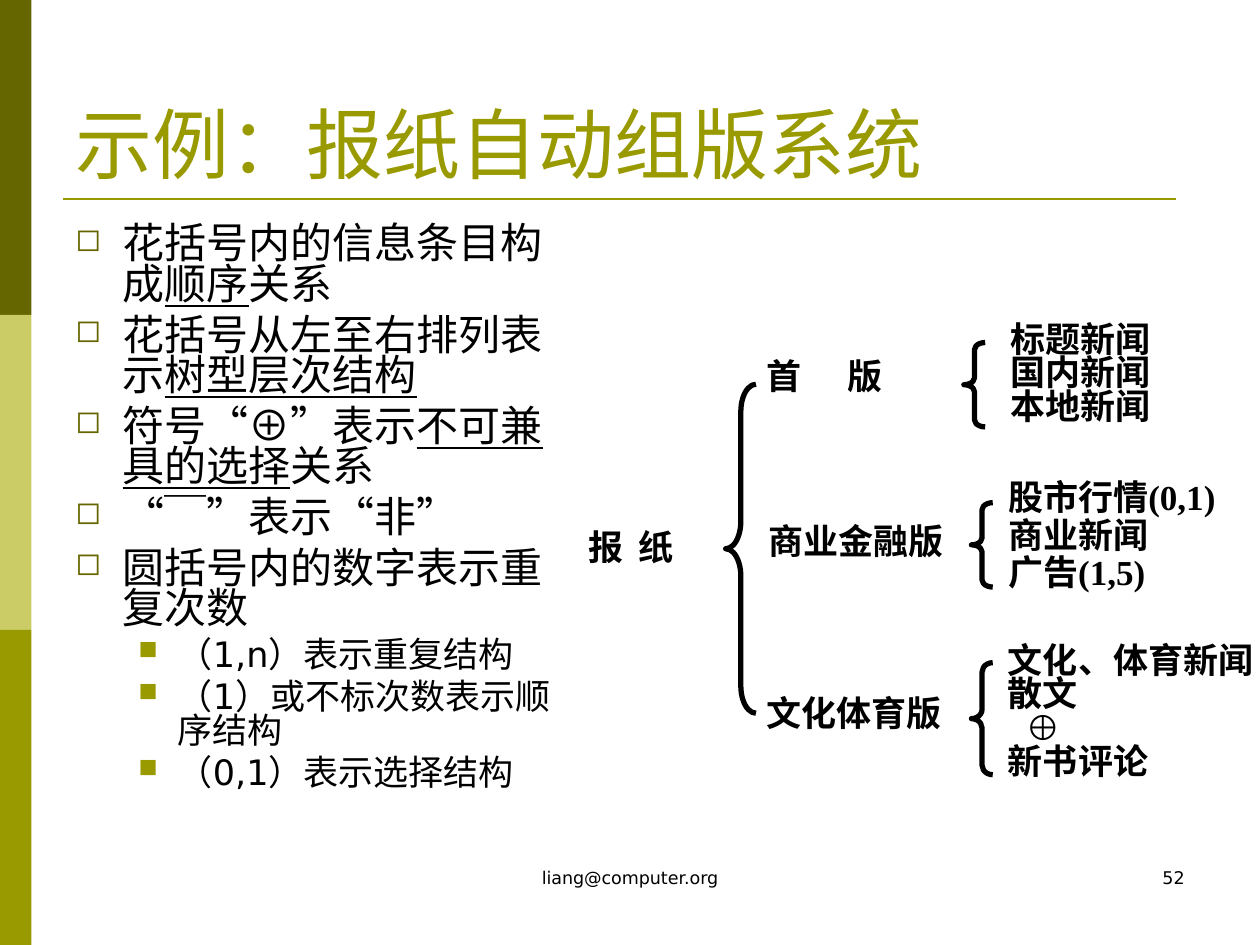
import pptx
import pptx.dml.color
import pptx.enum.shapes
import pptx.enum.text
import pptx.oxml.ns
import pptx.util
from lxml import etree

Pt = pptx.util.Pt
ALIGN = pptx.enum.text.PP_ALIGN
COLORS = {"dark": "666600", "light": "CCCC66", "olive": "999900", "ink": "000000"}
RULES = [
    [("花括号内的信息条目构成", False), ("顺序", True), ("关系", False)],
    [("花括号从左至右排列表示", False), ("树型层次结构", True)],
    [("符号“⊕”表示", False), ("不可兼具的选择", True), ("关系", False)],
    [("“￣”表示“非”", False)],
    [("圆括号内的数字表示重复次数", False)],
]
REPEATS = ["（1,n）表示重复结构", "（1）或不标次数表示顺序结构", "（0,1）表示选择结构"]


def rgb(name):
    """Return a palette colour."""
    return pptx.dml.color.RGBColor.from_string(COLORS[name])


def add_child(parent, tag, **attributes):
    """Append a DrawingML element."""
    return etree.SubElement(parent, pptx.oxml.ns.qn(tag), attributes)


def format_font(font, face, size, color="ink", bold=False):
    """Set face, size, colour and weight."""
    font.name, font.size, font.bold = face, Pt(size), bold
    font.color.rgb = rgb(color)


def add_band(slide, top, color):
    """Add one block of the left side bar."""
    band = slide.shapes.add_shape(
        pptx.enum.shapes.MSO_SHAPE.RECTANGLE, 0, Pt(top), Pt(18), Pt(180))
    band.shadow.inherit = False
    band.fill.solid()
    band.fill.fore_color.rgb = rgb(color)
    band.line.fill.background()


def add_title(slide, text):
    """Fill the title and draw the rule below it."""
    title = slide.shapes.title
    title.left, title.top, title.width, title.height = Pt(36), Pt(21.6), Pt(648), Pt(90)
    frame = title.text_frame
    frame.text = text
    frame.vertical_anchor = pptx.enum.text.MSO_ANCHOR.BOTTOM
    frame.paragraphs[0].alignment = ALIGN.LEFT
    format_font(frame.paragraphs[0].runs[0].font, "Times New Roman", 44, "olive")
    rule = slide.shapes.add_connector(
        pptx.enum.shapes.MSO_CONNECTOR.STRAIGHT, Pt(36), Pt(113.8), Pt(672), Pt(113.8))
    rule.line.color.rgb = rgb("olive")
    rule.line.width = Pt(1.5)
    add_child(rule.element.spPr, "a:effectLst")


def add_textbox(slide, left, top, width, height):
    """Add a wrapping text box and return its frame."""
    frame = slide.shapes.add_textbox(Pt(left), Pt(top), Pt(width), Pt(height)).text_frame
    frame.word_wrap = True
    return frame


def add_footer(slide, left, width, text, alignment):
    """Add a small line at the foot of the slide."""
    line = add_textbox(slide, left, 492, width, 36).paragraphs[0]
    line.text, line.alignment = text, alignment
    format_font(line.runs[0].font, "DejaVu Sans", 10)


def add_bullet(frame, parts, first, level, margin, hang, mark, color, size, before):
    """Add a bulleted paragraph made of plain and underlined parts."""
    item = frame.paragraphs[0] if first else frame.add_paragraph()
    item.level, item.line_spacing = level, 0.8
    item.space_before = Pt(0 if first else before)
    properties = item._p.get_or_add_pPr()
    properties.set("marL", str(Pt(margin)))
    properties.set("indent", str(Pt(-hang)))
    add_child(add_child(properties, "a:buClr"), "a:srgbClr", val=COLORS[color])
    add_child(properties, "a:buSzPct", val="75000")
    add_child(properties, "a:buChar", char=mark)
    for text, underlined in parts:
        run = item.add_run()
        run.text = text
        format_font(run.font, "DejaVu Sans", size)
        run.font.underline = underlined
        add_child(run.font._element, "a:ea", typeface="Noto Sans CJK SC")


def add_rules(slide):
    """Add the notation rules and the repeat counts under them."""
    frame = add_textbox(slide, 36, 126, 300, 356.4)
    for index, parts in enumerate(RULES):
        add_bullet(frame, parts, index == 0, 0, 27, 27, "◻", "dark", 24, 6)
    for text in REPEATS:
        add_bullet(frame, [(text, False)], False, 1, 58.5, 22.5, "■", "olive", 20, 5)


def add_entries(slide, left, top, width, height, entries, spacing=1.0, tab=None):
    """Add one node or list of the newspaper tree."""
    frame = add_textbox(slide, left, top, width, height)
    frame.margin_left = frame.margin_top = frame.margin_right = 0
    for index, text in enumerate(entries):
        entry = frame.paragraphs[0] if index == 0 else frame.add_paragraph()
        entry.text, entry.line_spacing = text, spacing
        entry.alignment = ALIGN.JUSTIFY
        properties = entry._p.get_or_add_pPr()
        is_choice = text == "⊕"
        if is_choice:
            properties.set("marL", str(Pt(10)))
        if tab:
            stops = add_child(properties, "a:tabLst")
            add_child(stops, "a:tab", pos=str(Pt(tab)), algn="l")
        face = "Arial" if is_choice else "Times New Roman"
        format_font(entry.runs[0].font, face, 20, bold=True)


def add_brace(slide, left, top, width, height):
    """Add a left brace whose curls are a twelfth of its height."""
    brace = slide.shapes.add_shape(
        pptx.enum.shapes.MSO_SHAPE.LEFT_BRACE, Pt(left), Pt(top), Pt(width), Pt(height))
    brace.adjustments[0] = height / 12 / width
    brace.shadow.inherit = False
    brace.fill.background()
    brace.line.color.rgb = rgb("ink")
    brace.line.width = Pt(3)


def add_newspaper_tree(slide):
    """Add the newspaper, its sections and their contents."""
    add_entries(slide, 336.2, 300.2, 57, 26, ["报\t纸"], tab=28.5)
    add_entries(slide, 437.8, 202.3, 73, 32.4, ["首\t版"], tab=46.5)
    add_entries(slide, 439.2, 296.6, 136.8, 32.4, ["商业金融版"])
    add_entries(slide, 437.8, 395.3, 107.3, 32.4, ["文化体育版"])
    add_entries(slide, 577.4, 185.8, 94.3, 67.7, ["标题新闻", "国内新闻", "本地新闻"], 0.8)
    add_entries(slide, 576, 274.3, 135.4, 65.5, ["股市行情(0,1)", "商业新闻", "广告(1,5)"], 0.9)
    add_entries(slide, 576, 369.4, 144, 87.1, ["文化、体育新闻", "散文", "⊕", "新书评论"], 0.8)
    add_brace(slide, 414.7, 219.6, 17.3, 188)
    add_brace(slide, 550.8, 195.8, 12.2, 48.2)
    add_brace(slide, 555.1, 287.3, 12.2, 48.2)
    add_brace(slide, 555.1, 378.7, 12.2, 64)


def main():
    """Build and save the slide."""
    deck = pptx.Presentation()
    deck.slide_width, deck.slide_height = Pt(720), Pt(540)
    slide = deck.slides.add_slide(deck.slide_layouts.get_by_name("Title Only"))
    for index, color in enumerate(["dark", "light", "olive"]):
        add_band(slide, index * 180, color)
    add_title(slide, "示例：报纸自动组版系统")
    add_rules(slide)
    add_newspaper_tree(slide)
    add_footer(slide, 246, 228, "liang@computer.org", ALIGN.CENTER)
    add_footer(slide, 516, 168, "52", ALIGN.RIGHT)
    deck.save("out.pptx")


if __name__ == "__main__":
    main()
